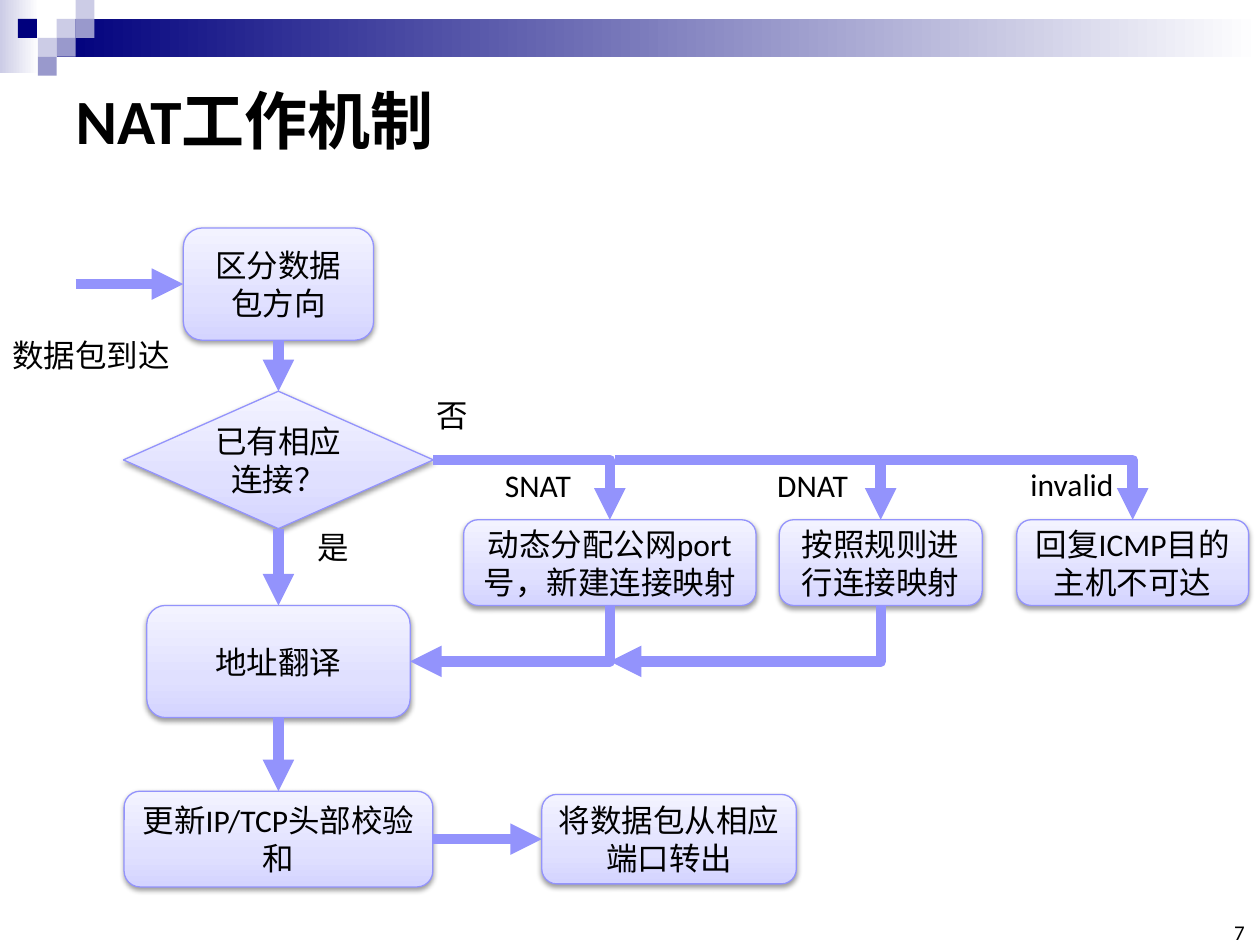
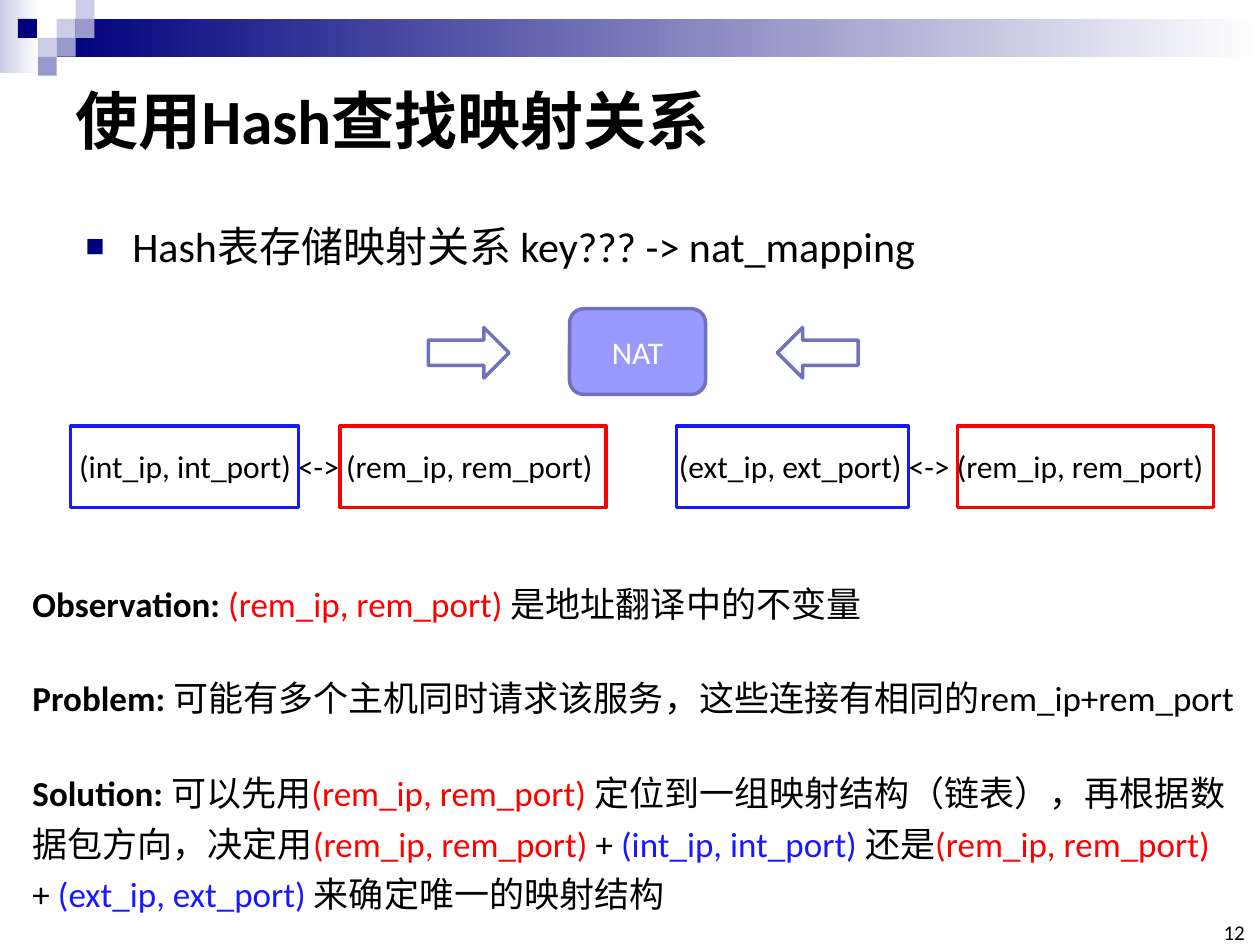
from dataclasses import dataclass

from pptx import Presentation
from pptx.dml.color import RGBColor
from pptx.enum.shapes import MSO_CONNECTOR, MSO_SHAPE
from pptx.enum.text import MSO_ANCHOR, MSO_AUTO_SIZE, PP_ALIGN
from pptx.oxml import parse_xml
from pptx.oxml.ns import nsdecls
from pptx.util import Inches, Pt


@dataclass(frozen=True)
class Theme:
    """Colours, font and type sizes shared by the slides."""

    font: str = "Calibri"
    black: str = "000000"
    white: str = "FFFFFF"
    navy: str = "00007D"
    light: str = "CCCCE6"
    middle: str = "9999CC"
    arrow: str = "9393FC"
    violet: str = "9999FF"
    outline: str = "7171BD"
    red: str = "FF0000"
    blue: str = "1818FF"
    node_stops: tuple = ((0, "D4D4FF"), (35, "E0E0FF"), (100, "F3F3FF"))
    title_size: int = 36
    list_size: int = 24
    note_size: int = 20
    label_size: int = 18
    number_size: int = 12


THEME = Theme()
COLUMNS, ROWS = 100, 75
TOP, LEFT, BOTTOM, RIGHT = range(4)


def drawing(xml):
    """Parse a DrawingML fragment whose root lacks its namespace."""
    name, rest = xml[1:].split(" ", 1)
    return parse_xml(f"<{name} {nsdecls('a')} {rest}")


def write(frame, text, *, size=THEME.label_size, color=THEME.black, bold=False,
          align=PP_ALIGN.LEFT, anchor=MSO_ANCHOR.TOP, spacing=None,
          wrap=True, grow=False):
    """Fill a text frame from a string or (text, color, bold) runs."""
    frame.word_wrap = wrap
    frame.auto_size = MSO_AUTO_SIZE.SHAPE_TO_FIT_TEXT if grow else MSO_AUTO_SIZE.NONE
    frame.vertical_anchor = anchor
    paragraph = frame.paragraphs[0]
    paragraph.alignment = align
    paragraph.space_before = Pt(0)
    if spacing:
        paragraph.line_spacing = spacing
    runs = [(text, color, bold)] if isinstance(text, str) else text
    for words, run_color, run_bold in runs:
        run = paragraph.add_run()
        run.text = words
        run.font.name = THEME.font
        run.font.size = Pt(size)
        run.font.bold = run_bold
        run.font.color.rgb = RGBColor.from_string(run_color)
    return paragraph


class Deck:
    """Holds the presentation, its grid and the current slide."""

    def __init__(self):
        self.presentation = Presentation()
        self.presentation.slide_width = Inches(10)
        self.presentation.slide_height = Inches(7.5)
        self.slide = None

    def x(self, columns):
        """Turn columns into a length."""
        return round(self.presentation.slide_width * columns / COLUMNS)

    def y(self, rows):
        """Turn rows into a length."""
        return round(self.presentation.slide_height * rows / ROWS)

    def box(self, left, top, width, height):
        """Turn grid bounds into lengths."""
        return self.x(left), self.y(top), self.x(width), self.y(height)

    def place(self, shape, *bounds):
        """Move a placeholder to grid bounds."""
        shape.left, shape.top, shape.width, shape.height = self.box(*bounds)

    def start(self, title, number, layout):
        """Add a slide with its title, band and number."""
        layouts = self.presentation.slide_layouts
        self.slide = self.presentation.slides.add_slide(layouts.get_by_name(layout))
        heading = self.slide.shapes.title
        self.place(heading, 5, 5, 90, 8.9)
        write(heading.text_frame, title, size=THEME.title_size, bold=True,
              anchor=MSO_ANCHOR.MIDDLE)
        self.band()
        frame = self.text(96.5, 73.3, 2.3, 1.7, str(number), size=THEME.number_size,
                          align=PP_ALIGN.RIGHT, anchor=MSO_ANCHOR.BOTTOM).text_frame
        frame.margin_left = frame.margin_right = 0
        frame.margin_top = frame.margin_bottom = 0

    def band(self):
        """Draw the fading bar and the checker squares."""
        side = 1.5
        for bounds, color in (((0, 0, 3.1, 5.8), THEME.light),
                              ((4.5, side, 95.5, 3), THEME.navy)):
            bar = self.shape(MSO_SHAPE.RECTANGLE, *bounds)
            self.fade(bar, ((0, color), (100, THEME.white)), 0)
        squares = {
            THEME.light: ((3, 1), (4, 0), (2, 2)),
            THEME.middle: ((4, 1), (3, 2), (2, 3)),
            THEME.navy: ((0.95, 1),),
        }
        for color, cells in squares.items():
            for column, row in cells:
                self.shape(MSO_SHAPE.RECTANGLE, column * side, row * side,
                           side, side, fill=color)

    def shape(self, kind, left, top, width, height, *, fill=None, line=None, weight=2):
        """Add a flat preset shape."""
        shape = self.slide.shapes.add_shape(kind, *self.box(left, top, width, height))
        shape.shadow.inherit = False
        if fill:
            shape.fill.solid()
            shape.fill.fore_color.rgb = RGBColor.from_string(fill)
        else:
            shape.fill.background()
        if line:
            shape.line.color.rgb = RGBColor.from_string(line)
            shape.line.width = Pt(weight)
        else:
            shape.line.fill.background()
        return shape

    def fade(self, shape, stops, angle):
        """Give an unfilled shape a linear gradient."""
        marks = "".join(f'<a:gs pos="{share * 1000}"><a:srgbClr val="{color}"/></a:gs>'
                        for share, color in stops)
        properties = shape._element.spPr
        properties.replace(
            properties.find("{*}noFill"),
            drawing(f'<a:gradFill rotWithShape="1"><a:gsLst>{marks}</a:gsLst>'
                    f'<a:lin ang="{angle * 60000}" scaled="0"/></a:gradFill>'))

    def node(self, text, center_x, center_y, width, height,
             kind=MSO_SHAPE.ROUNDED_RECTANGLE):
        """Add a shaded flowchart step around its centre."""
        shape = self.shape(kind, center_x - width / 2, center_y - height / 2,
                           width, height, line=THEME.arrow, weight=0.75)
        self.fade(shape, THEME.node_stops, 270)
        shape._element.spPr.find("{*}effectLst").append(drawing(
            f'<a:outerShdw blurRad="{Pt(3.1)}" dist="{Pt(1.6)}" dir="5400000" '
            f'rotWithShape="0"><a:srgbClr val="{THEME.black}">'
            '<a:alpha val="38000"/></a:srgbClr></a:outerShdw>'))
        write(shape.text_frame, text, align=PP_ALIGN.CENTER, anchor=MSO_ANCHOR.MIDDLE)
        return shape

    def text(self, left, top, width, height, text, **style):
        """Add a text box."""
        shape = self.slide.shapes.add_textbox(*self.box(left, top, width, height))
        write(shape.text_frame, text, **style)
        return shape

    def bullet(self, text, *bounds):
        """Fill the body placeholder with one bulleted line."""
        body = self.slide.placeholders[1]
        self.place(body, *bounds)
        paragraph = write(body.text_frame, text, size=THEME.list_size, spacing=1.5)
        properties = paragraph._p.get_or_add_pPr()
        properties.set("marL", str(Inches(0.37)))
        properties.set("indent", str(-Inches(0.37)))
        for xml in (f'<a:buClr ><a:srgbClr val="{THEME.navy}"/></a:buClr>',
                    '<a:buSzPct val="75000"/>', '<a:buChar char="■"/>'):
            properties.append(drawing(xml))

    def arrow(self, start, end, *, bent=False, end_mark="tailEnd"):
        """Join two points or (shape, side) pairs with a thick arrow."""
        kind = MSO_CONNECTOR.ELBOW if bent else MSO_CONNECTOR.STRAIGHT
        connector = self.slide.shapes.add_connector(kind, 0, 0, 0, 0)
        if isinstance(start[0], (int, float)):
            connector.begin_x, connector.begin_y = self.x(start[0]), self.y(start[1])
        else:
            connector.begin_connect(*start)
        if isinstance(end[0], (int, float)):
            connector.end_x, connector.end_y = self.x(end[0]), self.y(end[1])
        else:
            connector.end_connect(*end)
        connector.line.color.rgb = RGBColor.from_string(THEME.arrow)
        connector.line.width = Pt(6)
        properties = connector._element.spPr
        if bent:
            properties.find("{*}prstGeom").set("prst", "bentConnector2")
        properties.find("{*}ln").append(drawing(f'<a:{end_mark} type="triangle"/>'))
        properties.append(drawing("<a:effectLst />"))


def mechanism_slide(deck):
    """Draw the flowchart of address translation."""
    deck.start("NAT工作机制", 7, "Title Only")
    main_x, branch_y, output_y = 22.1, 44.65, 66.6
    direction = deck.node("区分数据包方向", main_x, 22.55, 15.1, 8.9)
    decision = deck.node("已有相应连接？", main_x, 36.5, 24.6, 10.9, MSO_SHAPE.DIAMOND)
    translation = deck.node("地址翻译", main_x, 52.5, 20.9, 8.9)
    checksum = deck.node("更新IP/TCP头部校验和", main_x, output_y, 24.5, 7.6)
    forward = deck.node("将数据包从相应端口转出", 53.1, output_y, 20.2, 7.1)
    source, target, invalid = (
        deck.node(text, center, branch_y, width, 6.8) for text, center, width in (
            ("动态分配公网port号，新建连接映射", 48.4, 23.2),
            ("按照规则进行连接映射", 69.9, 16.1),
            ("回复ICMP目的主机不可达", 89.9, 18.4)))

    deck.arrow((6, 22.55), (direction, LEFT))
    for upper, lower in ((direction, decision), (decision, translation),
                         (translation, checksum)):
        deck.arrow((upper, BOTTOM), (lower, TOP))
    deck.arrow((checksum, RIGHT), (forward, LEFT))
    for start, branch in (((decision, RIGHT), source), ((48.8, 36.5), target),
                          ((69.1, 36.5), invalid)):
        deck.arrow(start, (branch, TOP), bent=True)
    for merge, branch in (((translation, RIGHT), source), ((48.4, 52.5), target)):
        deck.arrow(merge, (branch, BOTTOM), bent=True, end_mark="headEnd")

    for text, left, top, width, wrap in (
            ("数据包到达", 0, 26.2, 14.6, False),
            ("否", 33.7, 30.9, 5.4, True),
            ("是", 24.2, 41.4, 5.4, True),
            ("SNAT", 39.1, 36.5, 7.3, False),
            ("DNAT", 60.7, 36.5, 7.7, False),
            ("invalid", 80.8, 36.4, 8.7, False)):
        deck.text(left, top, width, 4, text, wrap=wrap, grow=True)


def lookup_slide(deck):
    """Show how a hash finds the mapping."""
    deck.start("使用Hash查找映射关系", 12, "Title and Content")
    deck.bullet("Hash表存储映射关系 key??? -> nat_mapping", 5.8, 15, 86.2, 12)

    router = deck.shape(MSO_SHAPE.ROUNDED_RECTANGLE, 45.2, 24.5, 10.8, 6.8,
                        fill=THEME.violet, line=THEME.outline)
    write(router.text_frame, "NAT", color=THEME.white, align=PP_ALIGN.CENTER,
          anchor=MSO_ANCHOR.MIDDLE)
    for kind, left in ((MSO_SHAPE.RIGHT_ARROW, 34), (MSO_SHAPE.LEFT_ARROW, 61.7)):
        deck.shape(kind, left, 26, 6.4, 4, line=THEME.outline)

    for text, left, width in (("(int_ip, int_port) <-> (rem_ip, rem_port)", 5.3, 43.3),
                              ("(ext_ip, ext_port) <-> (rem_ip, rem_port)", 52.9, 44.2)):
        deck.text(left, 35, width, 4, text, wrap=False, grow=True)
    for left, width, color in ((5.6, 18.1, THEME.blue), (27, 21.1, THEME.red),
                               (53.7, 18.4, THEME.blue), (76, 20.3, THEME.red)):
        deck.shape(MSO_SHAPE.RECTANGLE, left, 33.8, width, 6.5, line=color)

    def plain(text, color=THEME.black):
        """Return a regular run."""
        return text, color, False

    def heading(text):
        """Return a bold run."""
        return text, THEME.black, True

    remote = "(rem_ip, rem_port)"
    notes = (
        (45.7, 69.7, 4.4, None,
         [heading("Observation: "), plain(remote + " ", THEME.red),
          plain("是地址翻译中的不变量")]),
        (53.2, 98.4, 4.4, None,
         [heading("Problem: "),
          plain("可能有多个主机同时请求该服务，这些连接有相同的rem_ip+rem_port")]),
        (60.1, 97.4, 12.8, 1.2,
         [heading("Solution: "), plain("可以先用"), plain(remote + " ", THEME.red),
          plain("定位到一组映射结构（链表），再根据数据包方向，决定用"),
          plain(remote, THEME.red), plain(" + "),
          plain("(int_ip, int_port) ", THEME.blue), plain("还是"),
          plain(remote, THEME.red), plain(" + "),
          plain("(ext_ip, ext_port) ", THEME.blue), plain("来确定唯一的映射结构")]),
    )
    for top, width, height, spacing, runs in notes:
        deck.text(1.6, top, width, height, runs, size=THEME.note_size,
                  spacing=spacing, grow=True)


def main():
    """Build and save the slides."""
    deck = Deck()
    mechanism_slide(deck)
    lookup_slide(deck)
    deck.presentation.save("out.pptx")


if __name__ == "__main__":
    main()
